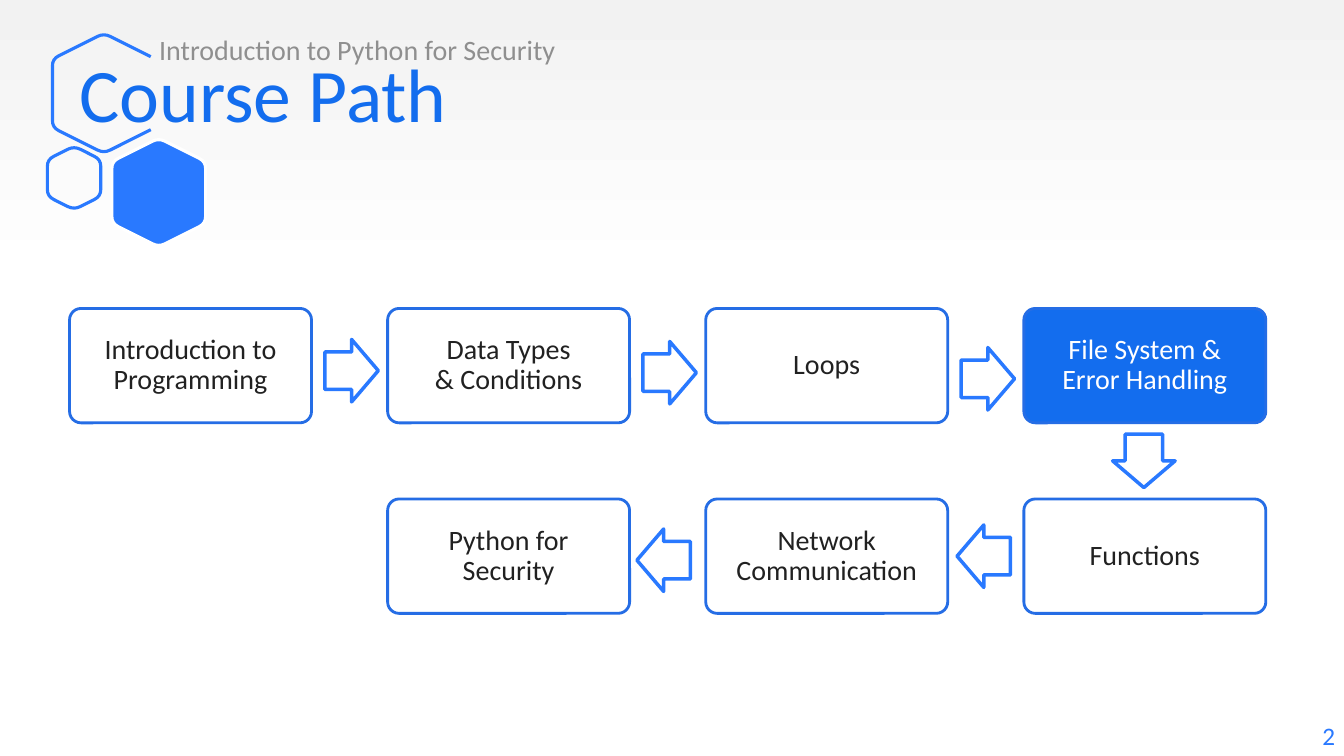
from pptx import Presentation
from pptx import util as u
from pptx.dml.color import RGBColor
from pptx.enum import shapes, text

WIDE, HIGH = 13.33, 7.5
FONT = "Calibri"
BLUE, DEEP, EDGE = "2979FF", "136DEE", "256DE5"
WHITE, INK, GREY, PALE = "FFFFFF", "212121", "8F8F8F", "F2F2F2"

STEPS = [
    (0, 0, "Introduction to Programming"),
    (1, 0, "Data Types\v& Conditions"),
    (2, 0, "Loops"),
    (3, 0, "File System &\vError Handling"),
    (3, 1, "Functions"),
    (2, 1, "Network Communication"),
    (1, 1, "Python for\vSecurity"),
]
ACTIVE = (3, 0)
KIND = shapes.MSO_SHAPE
# column, row, direction, nudge across, nudge down
ARROWS = [
    (0.5, 0, KIND.RIGHT_ARROW, 0.02, 0.05),
    (1.5, 0, KIND.RIGHT_ARROW, 0.02, 0.07),
    (2.5, 0, KIND.RIGHT_ARROW, 0.02, 0.13),
    (3, 0.5, KIND.DOWN_ARROW, -0.01, 0),
    (2.5, 1, KIND.LEFT_ARROW, -0.02, 0),
    (1.5, 1, KIND.LEFT_ARROW, -0.04, 0.04),
]
LABELS = [
    ("2", (11.58, 7.1, 1.76, 0.4), 18, BLUE, "RIGHT", "TOP"),
    ("Course Path", (0.69, 0.32, 11.49, 1.2), 54, DEEP, "LEFT", "MIDDLE"),
    ("Introduction to Python for Security", (1.48, 0.27, 4.45, 0.36),
     20, GREY, "LEFT", "TOP"),
]
HEXES = [
    ((0.52, 0.33, 1.02, 1.19), None, BLUE, True),
    ((0.47, 1.45, 0.53, 0.63), None, BLUE, False),
    ((1.11, 1.37, 0.93, 1.08), BLUE, WHITE, False),
]
LEFT, TOP, BOX_W, BOX_H = 0.69, 3.06, 2.4, 1.135
STEP_X, STEP_Y = 3.155, 1.89
LONG, BROAD = 0.53, 0.62
ROUND = 0.07


def rgb(code):
    return RGBColor.from_string(code)


def inch(*nums):
    return [u.Inches(n) for n in nums]


def paint(shape, fill, line, width):
    shape.shadow.inherit = False
    if fill:
        shape.fill.solid()
        shape.fill.fore_color.rgb = rgb(fill)
    else:
        shape.fill.background()
    shape.line.color.rgb = rgb(line)
    shape.line.width = u.Pt(width)


def write(shape, words, size, color, align, anchor, pad, space=None):
    frame = shape.text_frame
    frame.word_wrap = True
    frame.vertical_anchor = getattr(text.MSO_ANCHOR, anchor)
    frame.margin_left = frame.margin_right = u.Inches(pad[0])
    frame.margin_top = frame.margin_bottom = u.Inches(pad[1])
    para = frame.paragraphs[0]
    para.alignment = getattr(text.PP_ALIGN, align)
    para.line_spacing = space
    for i, part in enumerate(words.split("\v")):
        if i:
            para.add_line_break()
        run = para.add_run()
        run.text = part
        run.font.name, run.font.size = FONT, u.Pt(size)
        run.font.color.rgb = rgb(color)


def toward(a, b, dist):
    """Return the point at a distance from a on the way to b."""
    full = ((b[0] - a[0]) ** 2 + (b[1] - a[1]) ** 2) ** 0.5
    return tuple(p + (q - p) * dist / full for p, q in zip(a, b))


def bend(prev, tip, after):
    a, b = toward(tip, prev, ROUND), toward(tip, after, ROUND)
    return [tuple((1 - t) ** 2 * p + 2 * t * (1 - t) * q + t * t * r
                  for p, q, r in zip(a, tip, b))
            for t in (0, 0.25, 0.5, 0.75, 1)]


def outline(box, gap):
    x, y, w, h = box
    mid, rise = x + w / 2, w / 4
    tips = [(x + w, y + rise), (mid, y), (x, y + rise),
            (x, y + h - rise), (mid, y + h), (x + w, y + h - rise)]
    dots = []
    for i in range(1, 5) if gap else range(6):
        dots += bend(tips[i - 1], tips[i], tips[(i + 1) % 6])
    if gap:
        dots = [toward(tips[0], tips[1], 0.05), *dots,
                toward(tips[5], tips[4], 0.05)]
    return [inch(*dot) for dot in dots]


def main():
    deck = Presentation()
    deck.slide_width, deck.slide_height = inch(WIDE, HIGH)
    slide = deck.slides.add_slide(deck.slide_layouts[6])
    back = slide.background.fill
    back.gradient()
    back.gradient_angle = 270
    for stop, spot, code in zip(back.gradient_stops, (0, 0.37), (PALE, WHITE)):
        stop.position, stop.color.rgb = spot, rgb(code)

    for box, fill, line, gap in HEXES:
        dots = outline(box, gap)
        pen = slide.shapes.build_freeform(*dots[0], scale=1.0)
        pen.add_line_segments(dots[1:], close=not gap)
        paint(pen.convert_to_shape(), fill, line, 2.25)

    for words, box, size, color, align, anchor in LABELS:
        label = slide.shapes.add_textbox(*inch(*box))
        write(label, words, size, color, align, anchor, (0.1, 0.05))

    for col, row, words in STEPS:
        card = slide.shapes.add_shape(KIND.ROUNDED_RECTANGLE, *inch(
            LEFT + col * STEP_X, TOP + row * STEP_Y, BOX_W, BOX_H))
        card.adjustments[0] = 0.1
        live = (col, row) == ACTIVE
        paint(card, DEEP if live else WHITE, EDGE, 2)
        write(card, words, 20, WHITE if live else INK,
              "CENTER", "MIDDLE", (0.09, 0.09), 0.9)

    for col, row, kind, dx, dy in ARROWS:
        w, h = (BROAD, LONG) if kind == KIND.DOWN_ARROW else (LONG, BROAD)
        x = LEFT + col * STEP_X + BOX_W / 2 + dx
        y = TOP + row * STEP_Y + BOX_H / 2 + dy
        arrow = slide.shapes.add_shape(
            kind, *inch(x - w / 2, y - h / 2, w, h))
        arrow.adjustments[0], arrow.adjustments[1] = 0.6, 0.5
        paint(arrow, None, BLUE, 2.5)

    deck.save("out.pptx")


if __name__ == "__main__":
    main()
